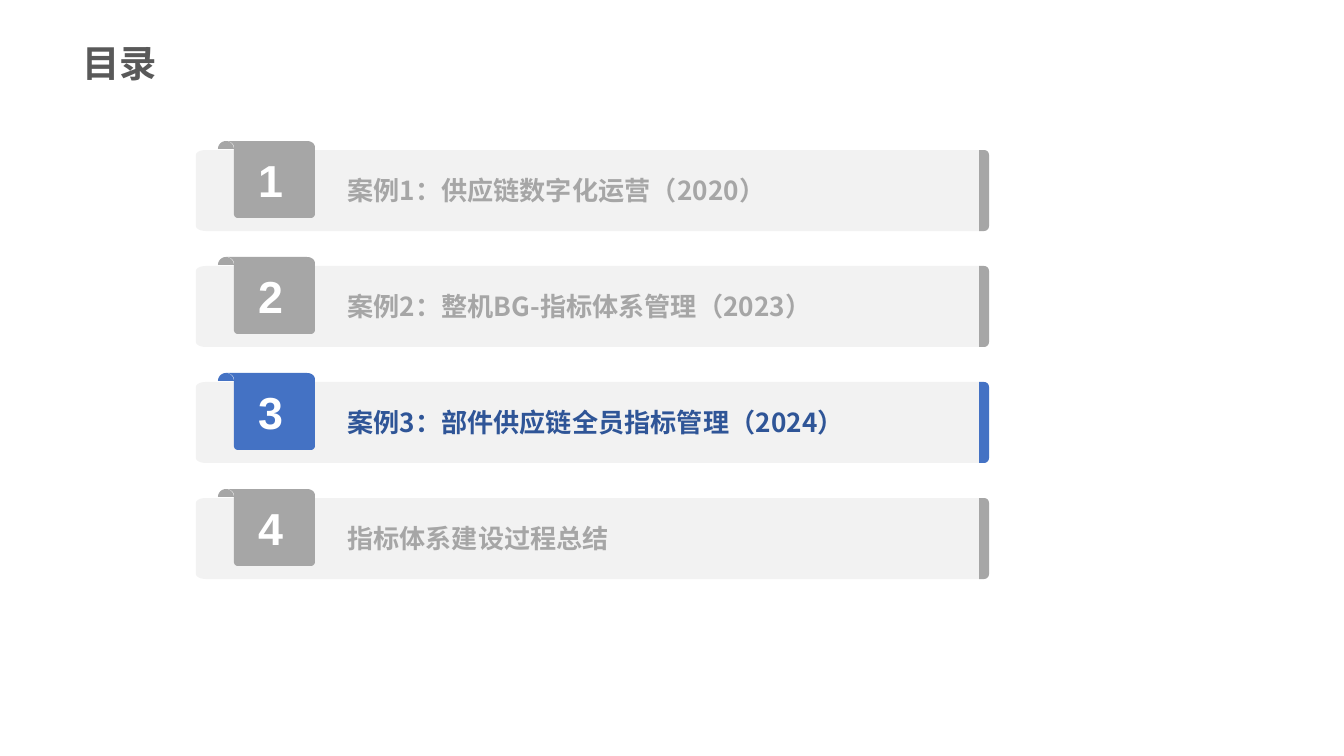
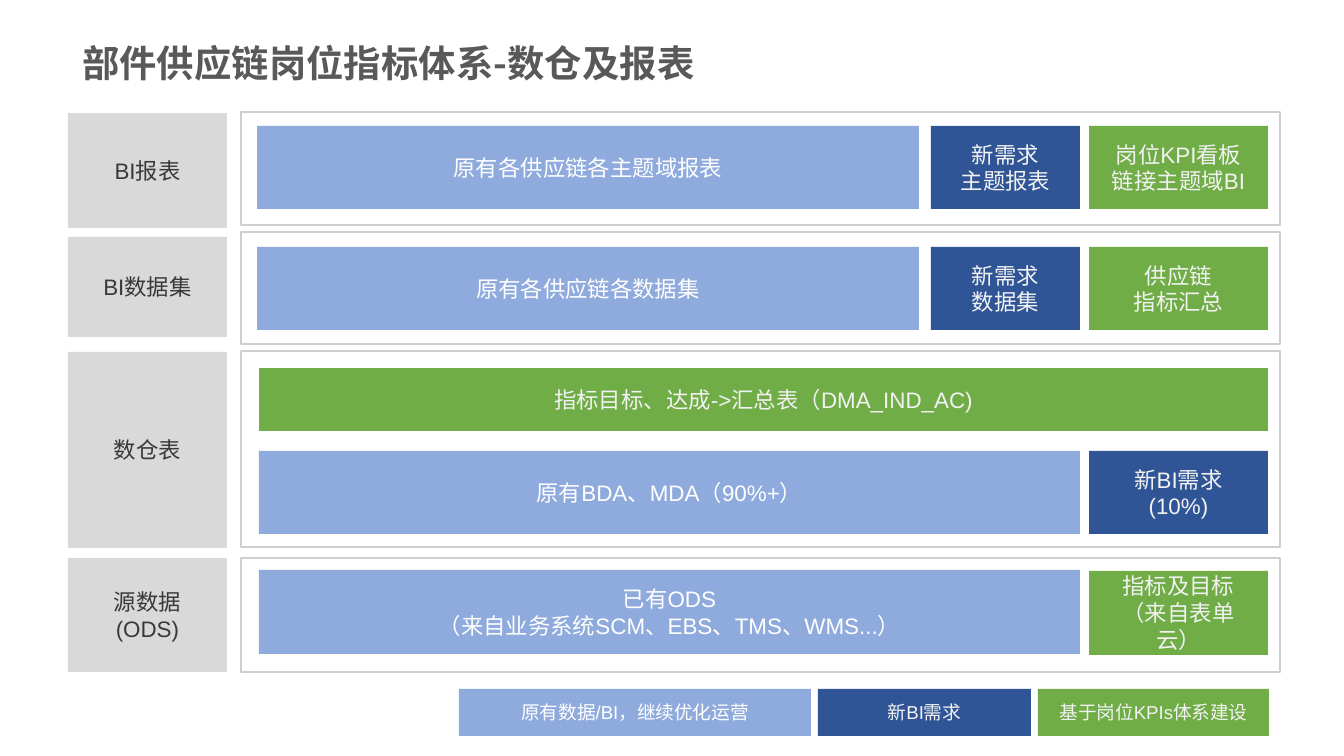
import math
from dataclasses import dataclass

import pptx
import pptx.dml.color
import pptx.enum.shapes
import pptx.enum.text
import pptx.oxml.ns
import pptx.util

EMU_PER_PX = 914400 / 134.4
SHAPE = pptx.enum.shapes.MSO_SHAPE
ALIGN = pptx.enum.text.PP_ALIGN
ANCHOR = pptx.enum.text.MSO_ANCHOR


@dataclass(frozen=True)
class Theme:
    # Colours
    title: str = "595959"
    white: str = "FFFFFF"
    pale: str = "F2F2F2"
    muted: str = "A6A6A6"
    active: str = "4472C4"
    navy: str = "2F5597"
    light_blue: str = "8FAADC"
    green: str = "70AD47"
    label_fill: str = "D9D9D9"
    label_text: str = "3B3838"
    frame: str = "D0CECE"
    # Fonts and type sizes
    latin: str = "Arial"
    cjk: str = "Noto Sans CJK SC"
    title_size: int = 20
    number_size: int = 24
    agenda_size: int = 14
    block_size: int = 12
    legend_size: int = 10


THEME = Theme()

# Block tone: fill and text colour
EXISTING = (THEME.light_blue, THEME.white)
NEW = (THEME.navy, THEME.pale)
KPI = (THEME.green, THEME.pale)
LABEL = (THEME.label_fill, THEME.label_text)


def px(value):
    return pptx.util.Emu(round(value * EMU_PER_PX))


def rgb(code):
    return pptx.dml.color.RGBColor.from_string(code)


# Text
def add_text(shape, lines, size, color, latin=THEME.latin, bold=False,
             align=ALIGN.CENTER, anchor=ANCHOR.MIDDLE, spacing=None):
    frame = shape.text_frame
    frame.word_wrap = True
    frame.vertical_anchor = anchor
    for index, line in enumerate(lines):
        paragraph = frame.add_paragraph() if index else frame.paragraphs[0]
        paragraph.alignment = align
        if spacing:
            paragraph.line_spacing = spacing
        run = paragraph.add_run()
        run.text = line
        run.font.size = pptx.util.Pt(size)
        run.font.bold = bold
        run.font.color.rgb = rgb(color)
        run.font.name = latin
        east_asian = run.font._element.makeelement(
            pptx.oxml.ns.qn("a:ea"), {"typeface": THEME.cjk})
        run.font._element.append(east_asian)


def add_heading(slide, box, text, size, color, anchor):
    shape = slide.shapes.add_textbox(*map(px, box))
    add_text(shape, [text], size, color, latin=THEME.cjk, bold=True,
             align=ALIGN.LEFT, anchor=anchor, spacing=0.9)


def add_title(slide, text, width):
    add_heading(slide, (69, 39, width, 71), text, THEME.title_size,
                THEME.title, ANCHOR.TOP)


# Shapes
def paint(shape, fill):
    shape.shadow.inherit = False
    shape.line.fill.background()
    shape.fill.solid()
    shape.fill.fore_color.rgb = rgb(fill)


def add_block(slide, box, lines, tone, size=THEME.block_size, kind=SHAPE.RECTANGLE):
    fill, color = tone
    shape = slide.shapes.add_shape(kind, *map(px, box))
    if kind == SHAPE.ROUNDED_RECTANGLE:
        shape.adjustments[0] = 0
    paint(shape, fill)
    add_text(shape, lines, size, color)


def add_frame(slide, box):
    shape = slide.shapes.add_shape(SHAPE.ROUNDED_RECTANGLE, *map(px, box))
    shape.adjustments[0] = 0
    shape.shadow.inherit = False
    shape.fill.background()
    shape.line.color.rgb = rgb(THEME.frame)
    shape.line.width = pptx.util.Pt(1)


def corner(center_x, center_y, radius_x, radius_y, start, steps=6):
    """Points of a clockwise quarter ellipse that begins at start degrees."""
    angles = [math.radians(start + 90 * step / steps) for step in range(steps + 1)]
    return [(center_x + radius_x * math.cos(angle),
             center_y + radius_y * math.sin(angle)) for angle in angles]


def add_outline(slide, points, fill):
    start, *rest = [(px(x), px(y)) for x, y in points]
    builder = slide.shapes.build_freeform(*start)
    builder.add_line_segments(rest, close=True)
    shape = builder.convert_to_shape()
    paint(shape, fill)
    return shape


# Agenda row: panel, end cap, folded number badge and caption
def add_agenda_row(slide, number, top, caption, active):
    fill = THEME.active if active else THEME.muted
    bottom = top + 81
    badge_top, badge_bottom = top - 9, top + 68

    add_outline(slide, corner(206, top + 5, 10, 5, 180)
                + [(979, top), (979, bottom)]
                + corner(206, bottom - 5, 10, 5, 90), THEME.pale)
    add_outline(slide, [(979, top)] + corner(984, top + 5, 5, 5, 270)
                + corner(984, bottom - 5, 5, 5, 0) + [(979, bottom)], fill)

    fold = corner(226, badge_top + 6, 8, 6, 270)
    badge = add_outline(slide, corner(307, badge_top + 6, 8, 6, 270)
                        + corner(311, badge_bottom - 4, 4, 4, 0)
                        + corner(238, badge_bottom - 4, 4, 4, 90)
                        + fold[::-1], fill)
    add_text(badge, [str(number)], THEME.number_size, THEME.white, bold=True)
    add_outline(slide, corner(226, badge_top + 8, 8, 8, 180)
                + corner(226, badge_top + 8, 8, 8, 270), fill)

    add_heading(slide, (334, top + 5, 644, 74), caption, THEME.agenda_size,
                THEME.navy if active else THEME.muted, ANCHOR.MIDDLE)


def build_agenda(slide):
    add_title(slide, "目录", 402)
    captions = [
        "案例1：供应链数字化运营（2020）",
        "案例2：整机BG-指标体系管理（2023）",
        "案例3：部件供应链全员指标管理（2024）",
        "指标体系建设过程总结",
    ]
    for index, caption in enumerate(captions):
        add_agenda_row(slide, index + 1, 150 + 116 * index, caption, active=index == 2)


def build_warehouse(slide):
    add_title(slide, "部件供应链岗位指标体系-数仓及报表", 849)

    # Layers: label lines, label top and height, frame top and height
    layers = [
        (["BI报表"], 113, 115, 112, 113),
        (["BI数据集"], 237, 100, 232, 112),
        (["数仓表"], 352, 196, 351, 196),
        (["源数据", "(ODS)"], 558, 114, 558, 114),
    ]
    for lines, label_top, label_height, frame_top, frame_height in layers:
        add_block(slide, (68, label_top, 159, label_height), lines, LABEL,
                  kind=SHAPE.ROUNDED_RECTANGLE)
        add_frame(slide, (241, frame_top, 1039, frame_height))

    # Columns as left edge and width
    narrow, wide, full = (257, 662), (259, 821), (259, 1009)
    middle, right = (931, 149), (1089, 179)
    blocks = [
        (narrow, 126, 83, EXISTING, ["原有各供应链各主题域报表"]),
        (middle, 126, 83, NEW, ["新需求", "主题报表"]),
        (right, 126, 83, KPI, ["岗位KPI看板", "链接主题域BI"]),
        (narrow, 247, 83, EXISTING, ["原有各供应链各数据集"]),
        (middle, 247, 83, NEW, ["新需求", "数据集"]),
        (right, 247, 83, KPI, ["供应链", "指标汇总"]),
        (full, 368, 63, KPI, ["指标目标、达成->汇总表（DMA_IND_AC)"]),
        (wide, 451, 83, EXISTING, ["原有BDA、MDA（90%+）"]),
        (right, 451, 83, NEW, ["新BI需求", "(10%)"]),
        (wide, 570, 84, EXISTING, ["已有ODS", "（来自业务系统SCM、EBS、TMS、WMS...）"]),
        (right, 571, 84, KPI, ["指标及目标", "（来自表单云）"]),
    ]
    for (left, width), top, height, tone, lines in blocks:
        add_block(slide, (left, top, width, height), lines, tone)

    # Legend
    left = 459
    for width, tone, text in [
        (352, EXISTING, "原有数据/BI，继续优化运营"),
        (213, NEW, "新BI需求"),
        (231, KPI, "基于岗位KPIs体系建设"),
    ]:
        add_block(slide, (left, 689, width, 47), [text], tone, THEME.legend_size)
        left += width + 7


def main():
    presentation = pptx.Presentation()
    presentation.slide_width = px(1344)
    presentation.slide_height = px(756)
    blank = presentation.slide_layouts[6]
    for build in (build_agenda, build_warehouse):
        build(presentation.slides.add_slide(blank))
    presentation.save("out.pptx")


if __name__ == "__main__":
    main()
